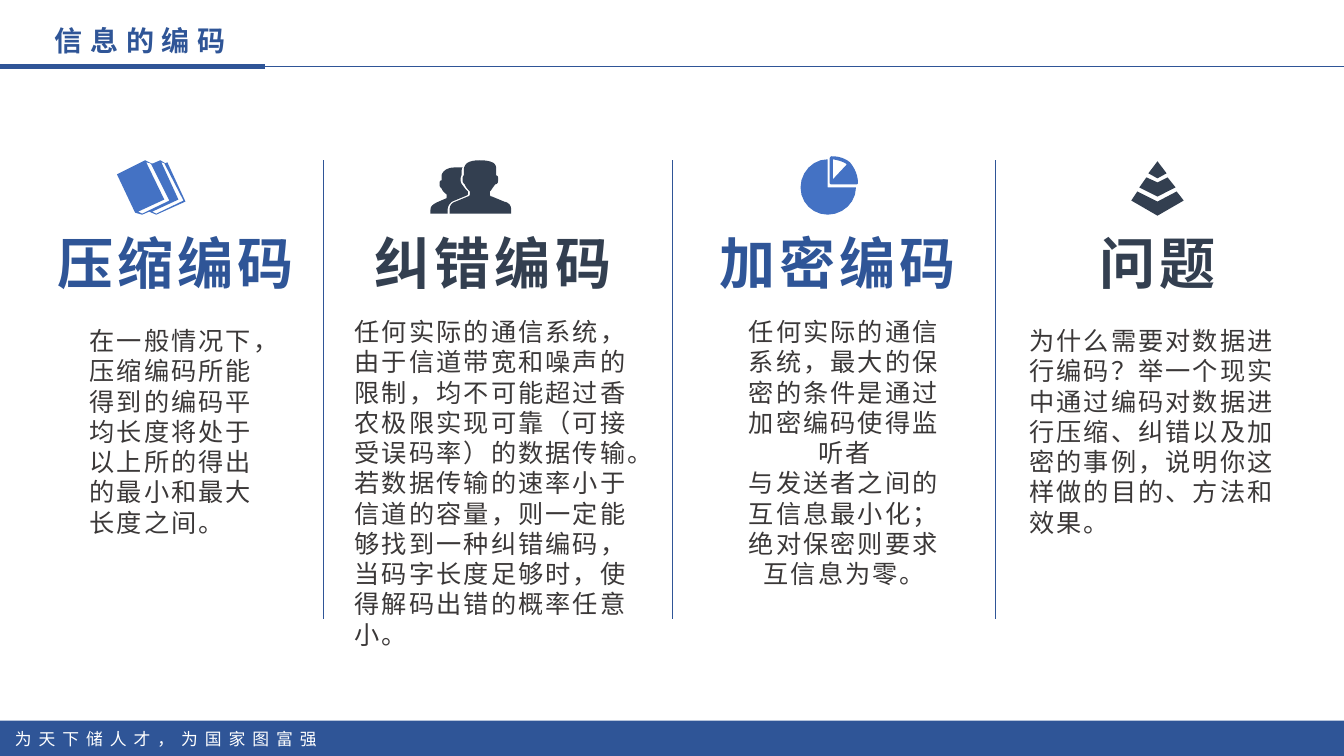
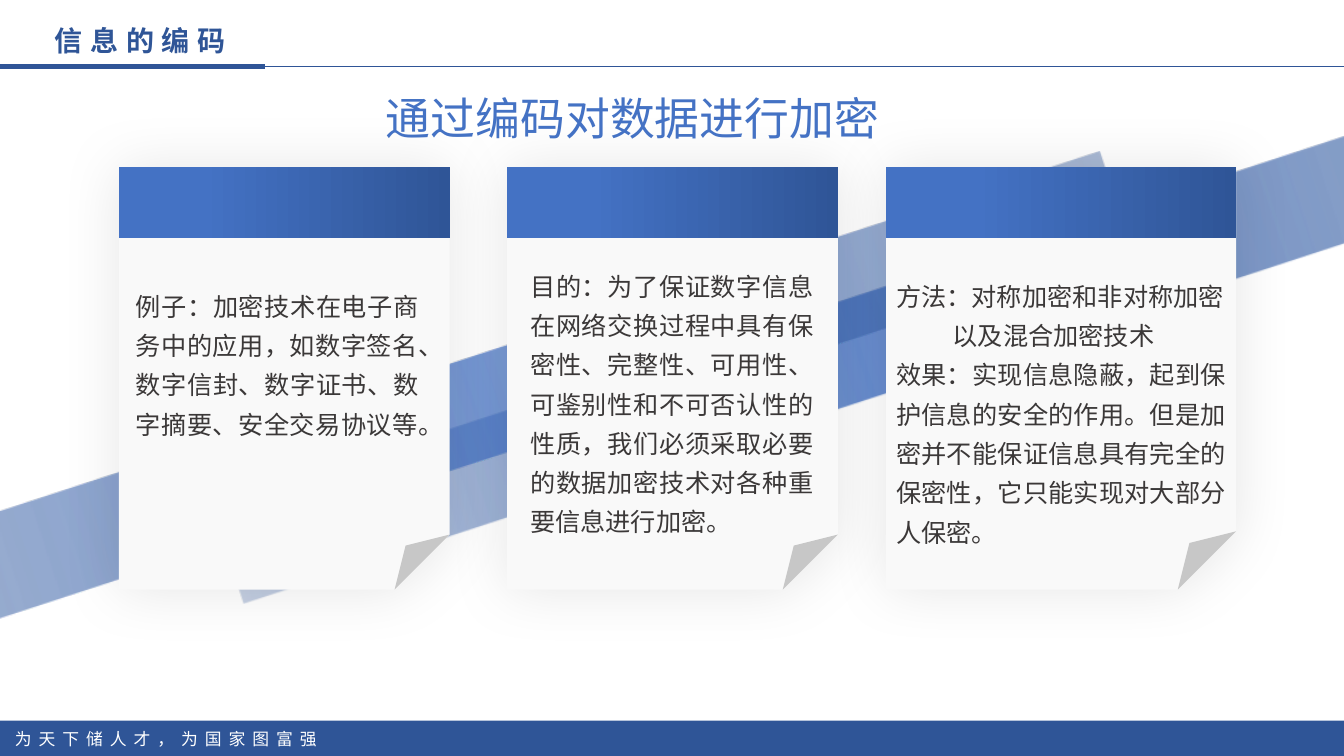
"""Build two slides about the coding of information."""
from lxml.etree import SubElement
from pptx import Presentation
from pptx.dml.color import RGBColor
from pptx.enum.shapes import MSO_CONNECTOR as Link, MSO_SHAPE as Shape
from pptx.enum.text import PP_ALIGN as Align
from pptx.oxml.ns import qn
from pptx.util import Inches, Pt

FONT = "Noto Sans CJK SC"
COLORS = {
    "navy": "2F5597",
    "blue": "4472C4",
    "slate": "333F50",
    "text": "3B3838",
    "paper": "F9F9F9",
    "white": "FFFFFF",
    "shadow": "000000",
}


def add_text(page, text, left, top, width, height, size=18, color="text", bold=False,
             align=Align.LEFT, spacing=0, line_spacing=None, indents=None):
    box = page.shapes.add_textbox(Inches(left), Inches(top), Inches(width), Inches(height))
    frame = box.text_frame
    frame.word_wrap = True
    for index, line in enumerate(text.split("\n")):
        para = frame.paragraphs[0] if index == 0 else frame.add_paragraph()
        para.alignment = align
        if line_spacing:
            para.line_spacing = line_spacing
        if indents and index in indents:
            para._p.get_or_add_pPr().set("indent", str(Inches(indents[index])))
        span = para.add_run()
        span.text = line
        span.font.size = Pt(size)
        span.font.bold = bold
        span.font.color.rgb = RGBColor.from_string(COLORS[color])
        span.font.name = FONT
        props = span._r.get_or_add_rPr()
        props.set("spc", str(int(spacing * 100)))
        SubElement(props, qn("a:ea")).set("typeface", FONT)


def add_gradient_bar(page, left, top, width, height, stops, rotation=0):
    bar = page.shapes.add_shape(Shape.RECTANGLE, Inches(left), Inches(top),
                                Inches(width), Inches(height))
    bar.shadow.inherit = False
    bar.line.fill.background()
    bar.rotation = rotation
    bar.fill.gradient()
    bar.fill.gradient_angle = 0
    stop_list = bar.element.spPr.find(qn("a:gradFill")).find(qn("a:gsLst"))
    for old_stop in list(stop_list):
        stop_list.remove(old_stop)
    for position, color, opacity in stops:
        stop = SubElement(stop_list, qn("a:gs"), pos=str(position * 1000))
        tint = SubElement(stop, qn("a:srgbClr"), val=COLORS[color])
        SubElement(tint, qn("a:alpha"), val=str(opacity * 1000))


deck = Presentation()
deck.slide_width, deck.slide_height = Inches(13.33), Inches(7.5)
overview, encryption = [deck.slides.add_slide(deck.slide_layouts[6]) for _ in range(2)]

HEADER_RULES = [(0, 0.66, 13.33, 0.66, 0.5), (0, 0.66, 2.63, 0.66, 3)]
DIVIDERS = [(x, 1.59, x, 6.14, 0.5) for x in (3.21, 6.67, 9.87)]

for page, rules in ((overview, HEADER_RULES + DIVIDERS), (encryption, HEADER_RULES)):
    footer = page.shapes.add_shape(Shape.RECTANGLE, 0, Inches(7.15),
                                   deck.slide_width, Inches(0.35))
    footer.shadow.inherit = False
    footer.fill.solid()
    footer.fill.fore_color.rgb = RGBColor.from_string(COLORS["navy"])
    footer.line.fill.background()
    add_text(page, "为天下储人才，为国家图富强", 0.05, 7.18, 4, 0.3,
             size=12, color="white", spacing=5)
    add_text(page, "信息的编码", -0.43, 0.18, 3.64, 0.44, size=20, color="navy",
             bold=True, align=Align.CENTER, spacing=5.5)
    for x1, y1, x2, y2, weight in rules:
        rule = page.shapes.add_connector(Link.STRAIGHT, Inches(x1), Inches(y1),
                                         Inches(x2), Inches(y2))
        rule.line.color.rgb = RGBColor.from_string(COLORS["navy"])
        rule.line.width = Pt(weight)
        SubElement(rule.element.spPr, qn("a:effectLst"))

# Outlines: a pair is a corner, six numbers are a Bézier curve
BOOKS = [
    [(1.16, 1.73), (1.44, 1.59), (1.5, 1.62), (1.52, 1.62), (1.59, 1.59), (1.64, 1.62),
     (1.66, 1.61), (1.84, 2), (1.55, 2.13), (1.48, 2.1), (1.41, 2.13), (1.34, 2.11)],
    [(1.45, 1.61), (1.49, 1.62), (1.5, 1.63), (1.68, 1.99), (1.41, 2.12), (1.37, 2.1),
     (1.63, 1.98)],
    [(1.6, 1.61), (1.63, 1.62), (1.82, 1.99), (1.55, 2.12), (1.51, 2.1), (1.77, 1.98)],
]
PEOPLE = [
    [(4.52, 1.66), (4.55, 1.66, 4.57, 1.66, 4.59, 1.66), (4.58, 1.67, 4.58, 1.68, 4.58, 1.69),
     (4.58, 1.73), (4.58, 1.74, 4.57, 1.75, 4.57, 1.76), (4.57, 1.8),
     (4.57, 1.81, 4.58, 1.83, 4.59, 1.84), (4.61, 1.87, 4.63, 1.89, 4.64, 1.9),
     (4.64, 1.93), (4.63, 1.94), (4.51, 1.99), (4.47, 2, 4.44, 2.04, 4.44, 2.08),
     (4.44, 2.12), (4.27, 2.12), (4.27, 2.08), (4.27, 2.05, 4.29, 2.03, 4.33, 2.01),
     (4.42, 1.97), (4.43, 1.97, 4.43, 1.96, 4.43, 1.95), (4.43, 1.93),
     (4.42, 1.92, 4.39, 1.9, 4.38, 1.87), (4.37, 1.86, 4.36, 1.85, 4.36, 1.84),
     (4.36, 1.81), (4.36, 1.8, 4.37, 1.79, 4.38, 1.79), (4.38, 1.74),
     (4.38, 1.74, 4.39, 1.66, 4.52, 1.66)],
    [(4.76, 1.59), (4.82, 1.59, 4.87, 1.6, 4.9, 1.62), (4.93, 1.65, 4.92, 1.68, 4.92, 1.69),
     (4.92, 1.74), (4.93, 1.74, 4.94, 1.75, 4.94, 1.76), (4.94, 1.8),
     (4.94, 1.82, 4.92, 1.83, 4.91, 1.83), (4.9, 1.85, 4.88, 1.87, 4.87, 1.89),
     (4.86, 1.9), (4.86, 1.93), (4.86, 1.94, 4.86, 1.95, 4.88, 1.95), (5, 2),
     (5.05, 2.01, 5.07, 2.04, 5.07, 2.08), (5.07, 2.12), (4.46, 2.12), (4.46, 2.08),
     (4.46, 2.04, 4.48, 2.01, 4.52, 2), (4.64, 1.95), (4.65, 1.95, 4.66, 1.94, 4.66, 1.93),
     (4.66, 1.9), (4.65, 1.89, 4.62, 1.86, 4.61, 1.83), (4.6, 1.82, 4.59, 1.81, 4.59, 1.8),
     (4.59, 1.76), (4.59, 1.75, 4.6, 1.74, 4.6, 1.74), (4.6, 1.69),
     (4.6, 1.68, 4.6, 1.65, 4.63, 1.62), (4.66, 1.6, 4.7, 1.59, 4.76, 1.59)],
]
PIE = [
    [(8.26, 1.58), (8.26, 1.78), (8.4, 1.63), (8.36, 1.6, 8.31, 1.59, 8.26, 1.58)],
    [(8.21, 1.58), (8.21, 1.86), (8.49, 1.86), (8.49, 2.01, 8.36, 2.13, 8.21, 2.13),
     (8.06, 2.13, 7.94, 2.01, 7.94, 1.86), (7.94, 1.71, 8.06, 1.58, 8.21, 1.58)],
    [(8.25, 1.55), (8.32, 1.55, 8.38, 1.57, 8.43, 1.61), (8.48, 1.67, 8.51, 1.74, 8.51, 1.82),
     (8.5, 1.83), (8.24, 1.83), (8.23, 1.82), (8.23, 1.57), (8.23, 1.56, 8.24, 1.55, 8.25, 1.55)],
]
PYRAMID = [
    [(11.28, 1.9), (11.48, 2), (11.67, 1.9), (11.74, 1.99), (11.48, 2.14), (11.22, 1.99)],
    [(11.37, 1.76), (11.48, 1.81), (11.58, 1.76), (11.66, 1.86), (11.48, 1.95), (11.3, 1.86)],
    [(11.48, 1.6), (11.57, 1.72), (11.48, 1.77), (11.39, 1.72)],
]
COLUMNS = [
    ("压缩编码", 0.43, 2.62, "navy", BOOKS, "blue", (0.79, 3.18, 2.01, 2.52), Align.LEFT,
     "在一般情况下，压缩编码所能得到的编码平均长度将处于以上所的得出的最小和最大长度之间。"),
    ("纠错编码", 3.53, 2.72, "slate", PEOPLE, "slate", (3.42, 3.09, 2.93, 3.43), Align.LEFT,
     "任何实际的通信系统，由于信道带宽和噪声的限制，均不可能超过香农极限实现可靠（可接受误码率）的数据传输。"
     "若数据传输的速率小于信道的容量，则一定能够找到一种纠错编码，当码字长度足够时，使得解码出错的概率任意小。"),
    ("加密编码", 6.85, 2.92, "navy", PIE, "blue", (7.3, 3.09, 2.15, 2.83), Align.CENTER,
     "任何实际的通信系统，最大的保密的条件是通过加密编码使得监听者\n"
     "与发送者之间的互信息最小化；绝对保密则要求互信息为零。"),
    ("问题", 10.5, 1.96, "slate", PYRAMID, "slate", (10.11, 3.18, 2.67, 2.22), Align.LEFT,
     "为什么需要对数据进行编码？举一个现实中通过编码对数据进行压缩、纠错以及加密的事例，"
     "说明你这样做的目的、方法和效果。"),
]
CURVE_STEPS = 6

for heading, left, width, color, icon, icon_color, body_area, align, body in COLUMNS:
    builder = None
    for outline in icon:
        points = [outline[0]]
        for node in outline[1:]:
            if len(node) == 2:
                points.append(node)
                continue
            x0, y0 = points[-1]
            x1, y1, x2, y2, x3, y3 = node
            for step in range(1, CURVE_STEPS + 1):
                t = step / CURVE_STEPS
                u = 1 - t
                points.append((u**3 * x0 + 3 * u * u * t * x1 + 3 * u * t * t * x2 + t**3 * x3,
                               u**3 * y0 + 3 * u * u * t * y1 + 3 * u * t * t * y2 + t**3 * y3))
        corners = [(Inches(x), Inches(y)) for x, y in points]
        if builder is None:
            builder = overview.shapes.build_freeform(*corners[0])
        else:
            builder.move_to(*corners[0])
        builder.add_line_segments(corners[1:], close=True)
    drawing = builder.convert_to_shape()
    drawing.shadow.inherit = False
    drawing.fill.solid()
    drawing.fill.fore_color.rgb = RGBColor.from_string(COLORS[icon_color])
    drawing.line.fill.background()
    add_text(overview, body, *body_area, align=align, spacing=1.5)
    add_text(overview, heading, left, 2.22, width, 0.77, size=40, color=color,
             bold=True, align=Align.CENTER, spacing=3)

for left, top, opacities in ((1.94, 2.96, (25, 80, 53)), (-1.73, 3.52, (44, 73, 39))):
    stops = list(zip((0, 50, 100), ("navy", "blue", "navy"), opacities))
    add_gradient_bar(encryption, left, top, 13.12, 1.01, stops, rotation=341.9)

CARDS = [
    (1.18, 3.28, (1.25, 2.75, 3, 1.67), None,
     "例子：加密技术在电子商务中的应用，如数字签名、数字信封、数字证书、数字摘要、安全交易协议等。"),
    (5.03, 3.28, (5.16, 2.55, 3.01, 2.85), None,
     "目的：为了保证数字信息在网络交换过程中具有保密性、完整性、可用性、可鉴别性和不可否认性的性质，"
     "我们必须采取必要的数据加密技术对各种重要信息进行加密。"),
    (8.79, 3.47, (8.79, 2.65, 3.47, 2.85), {1: 0.56},
     "方法：对称加密和非对称加密\n以及混合加密技术\n"
     "效果：实现信息隐蔽，起到保护信息的安全的作用。"
     "但是加密并不能保证信息具有完全的保密性，它只能实现对大部分人保密。"),
]
for left, width, body_area, indents, body in CARDS:
    card = encryption.shapes.add_shape(Shape.FOLDED_CORNER, Inches(left), Inches(1.66),
                                       Inches(width), Inches(4.19))
    card.fill.solid()
    card.fill.fore_color.rgb = RGBColor.from_string(COLORS["paper"])
    card.line.fill.background()
    card.shadow.inherit = False
    effects = card.element.spPr.find(qn("a:effectLst"))
    glow = SubElement(effects, qn("a:outerShdw"), blurRad=str(Pt(43)), dist="0", dir="0",
                      algn="ctr", rotWithShape="0")
    shade = SubElement(glow, qn("a:srgbClr"), val=COLORS["shadow"])
    SubElement(shade, qn("a:alpha"), val="10000")
    add_gradient_bar(encryption, left, 1.66, width, 0.7, [(25, "blue", 100), (100, "navy", 100)])
    add_text(encryption, body, *body_area, align=Align.JUSTIFY, line_spacing=1.3, indents=indents)

add_text(encryption, "通过编码对数据进行加密", 1.91, 0.85, 8.73, 0.64,
         size=32, color="blue", align=Align.CENTER)

deck.save("out.pptx")
